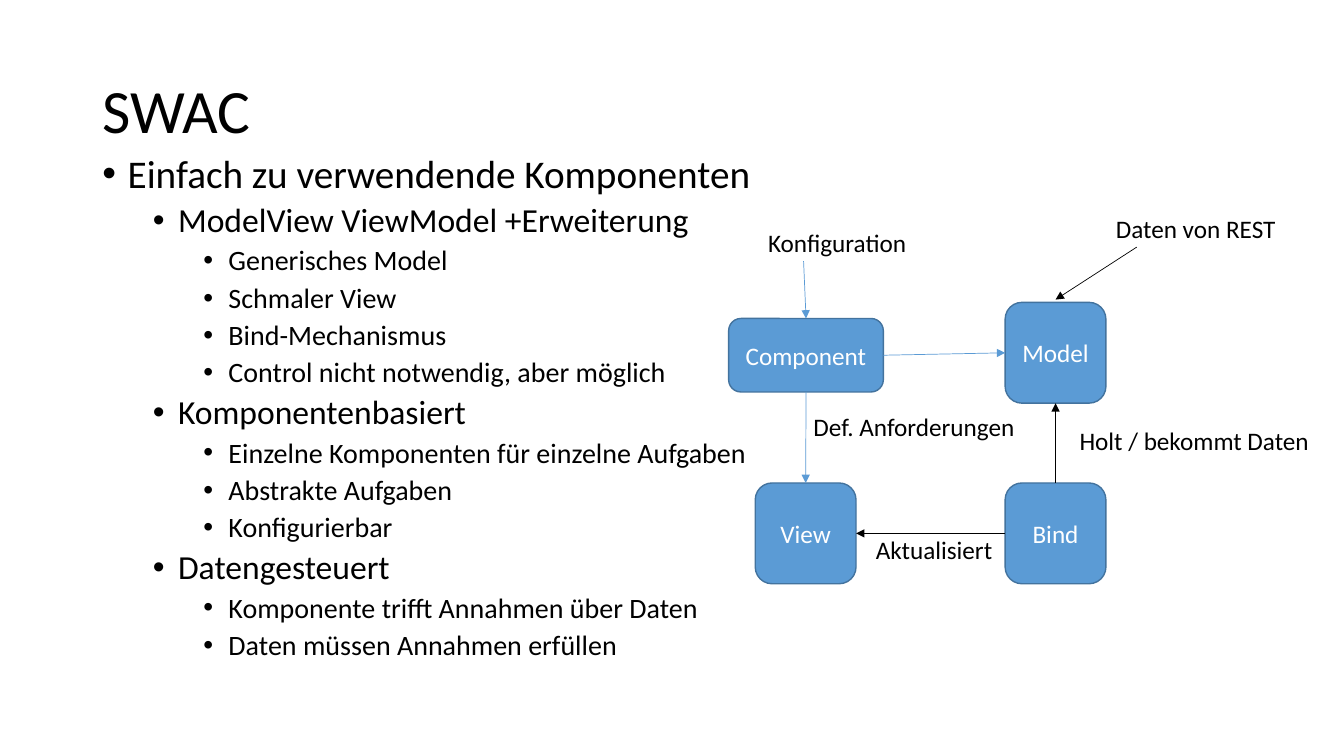
from lxml.etree import SubElement
from pptx import Presentation
from pptx.dml.color import RGBColor
from pptx.enum.shapes import MSO_CONNECTOR as Connector, MSO_SHAPE as Shape
from pptx.enum.text import MSO_ANCHOR as Anchor, MSO_AUTO_SIZE as AutoSize, PP_ALIGN as Align
from pptx.oxml.ns import qn
from pptx.util import Pt

BLACK = RGBColor(0x00, 0x00, 0x00)
WHITE = RGBColor(0xFF, 0xFF, 0xFF)
BLUE = RGBColor(0x5B, 0x9B, 0xD5)
DARK_BLUE = RGBColor(0x43, 0x73, 0x9E)
FONT = "Calibri"
TOP, LEFT, BOTTOM, RIGHT = range(4)

LEVEL_SIZES = (28, 24, 20)
OUTLINE = (
    (0, "Einfach zu verwendende Komponenten"),
    (1, "ModelView ViewModel +Erweiterung"),
    (2, "Generisches Model"),
    (2, "Schmaler View"),
    (2, "Bind-Mechanismus"),
    (2, "Control nicht notwendig, aber möglich"),
    (1, "Komponentenbasiert"),
    (2, "Einzelne Komponenten für einzelne Aufgaben"),
    (2, "Abstrakte Aufgaben"),
    (2, "Konfigurierbar"),
    (1, "Datengesteuert"),
    (2, "Komponente trifft Annahmen über Daten"),
    (2, "Daten müssen Annahmen erfüllen"),
)
NODES = (
    ("Component", 0, 79, 110.5, 52.5),
    ("Model", 197.5, 67.5, 72, 72),
    ("View", 19, 196.5, 72, 72),
    ("Bind", 197.5, 196.5, 72, 72),
)
LINKS = (
    ("Component", RIGHT, "Model", LEFT, BLUE),
    ("Component", BOTTOM, "View", TOP, BLUE),
    ("Bind", TOP, "Model", BOTTOM, BLACK),
    ("Bind", LEFT, "View", RIGHT, BLACK),
)
LABELS = (
    ("Konfiguration", 21, 10.5, 123),
    ("Daten von REST", 269.5, 0, 136),
    ("Def. Anforderungen", 53.5, 141.5, 162),
    ("Holt / bekommt Daten", 243.5, 151.5, 187),
    ("Aktualisiert", 98, 229.5, 102),
)


def style(para, size, color, align=Align.LEFT):
    para.alignment = align
    para.font.name = FONT
    para.font.size = Pt(size)
    para.font.color.rgb = color


def place(shape, box):
    shape.left, shape.top, shape.width, shape.height = map(Pt, box)


def fill_title(page, box):
    title = page.shapes.title
    place(title, box)
    frame = title.text_frame
    frame.text = "SWAC"
    frame.auto_size = AutoSize.NONE
    frame.vertical_anchor = Anchor.MIDDLE
    para = frame.paragraphs[0]
    style(para, 44, BLACK)
    para.line_spacing = 0.9


def fill_outline(page, box):
    body = page.placeholders[1]
    place(body, box)
    frame = body.text_frame
    frame.text = "\n".join(text for level, text in OUTLINE)
    frame.auto_size = AutoSize.NONE
    for para, (level, text) in zip(frame.paragraphs, OUTLINE):
        para.level = level
        style(para, LEVEL_SIZES[level], BLACK)
        para.line_spacing = 0.9
        para.space_before = Pt(5 if level else 10)
        properties = para._p.get_or_add_pPr()
        properties.set("marL", str(Pt(18 + 36 * level)))
        properties.set("indent", str(Pt(-18)))
        SubElement(properties, qn("a:buFont"), typeface="Arial")
        SubElement(properties, qn("a:buChar"), char="•")


def add_node(page, text, box):
    node = page.shapes.add_shape(Shape.ROUNDED_RECTANGLE, *map(Pt, box))
    node.shadow.inherit = False
    node.fill.solid()
    node.fill.fore_color.rgb = BLUE
    node.line.color.rgb = DARK_BLUE
    node.line.width = Pt(1)
    frame = node.text_frame
    frame.text = text
    frame.vertical_anchor = Anchor.MIDDLE
    style(frame.paragraphs[0], 18, WHITE, Align.CENTER)
    return node


def add_label(page, text, box):
    label = page.shapes.add_textbox(*map(Pt, box))
    frame = label.text_frame
    frame.word_wrap = True
    frame.auto_size = AutoSize.SHAPE_TO_FIT_TEXT
    frame.text = text
    style(frame.paragraphs[0], 18, BLACK)


def add_arrow(page, color, start=(0, 0), end=(0, 0)):
    arrow = page.shapes.add_connector(Connector.STRAIGHT, *map(Pt, (*start, *end)))
    arrow.line.color.rgb = color
    arrow.line.width = Pt(0.5)
    SubElement(arrow.line._get_or_add_ln(), qn("a:tailEnd"), type="triangle")
    SubElement(arrow._element.spPr, qn("a:effectLst"))
    return arrow


def draw_diagram(page, left, top):
    nodes = {
        name: add_node(page, name, (left + x, top + y, width, height))
        for name, x, y, width, height in NODES
    }
    for source, source_side, target, target_side, color in LINKS:
        arrow = add_arrow(page, color)
        arrow.begin_connect(nodes[source], source_side)
        arrow.end_connect(nodes[target], target_side)
    configuration = add_arrow(page, BLUE, (left + 53.5, top + 38))
    configuration.end_connect(nodes["Component"], TOP)
    add_arrow(page, BLACK, (left + 291.5, top + 28), (left + 233.5, top + 65.5))
    for text, x, y, width in LABELS:
        add_label(page, text, (left + x, top + y, width, 29))


def main():
    deck = Presentation()
    deck.slide_width, deck.slide_height = Pt(960), Pt(540)
    page = deck.slides.add_slide(deck.slide_layouts[1])
    fill_title(page, (66, 29, 828, 104.5))
    fill_outline(page, (66, 106.5, 828, 413.5))
    draw_diagram(page, 520.5, 148.5)
    deck.save("out.pptx")


if __name__ == "__main__":
    main()
